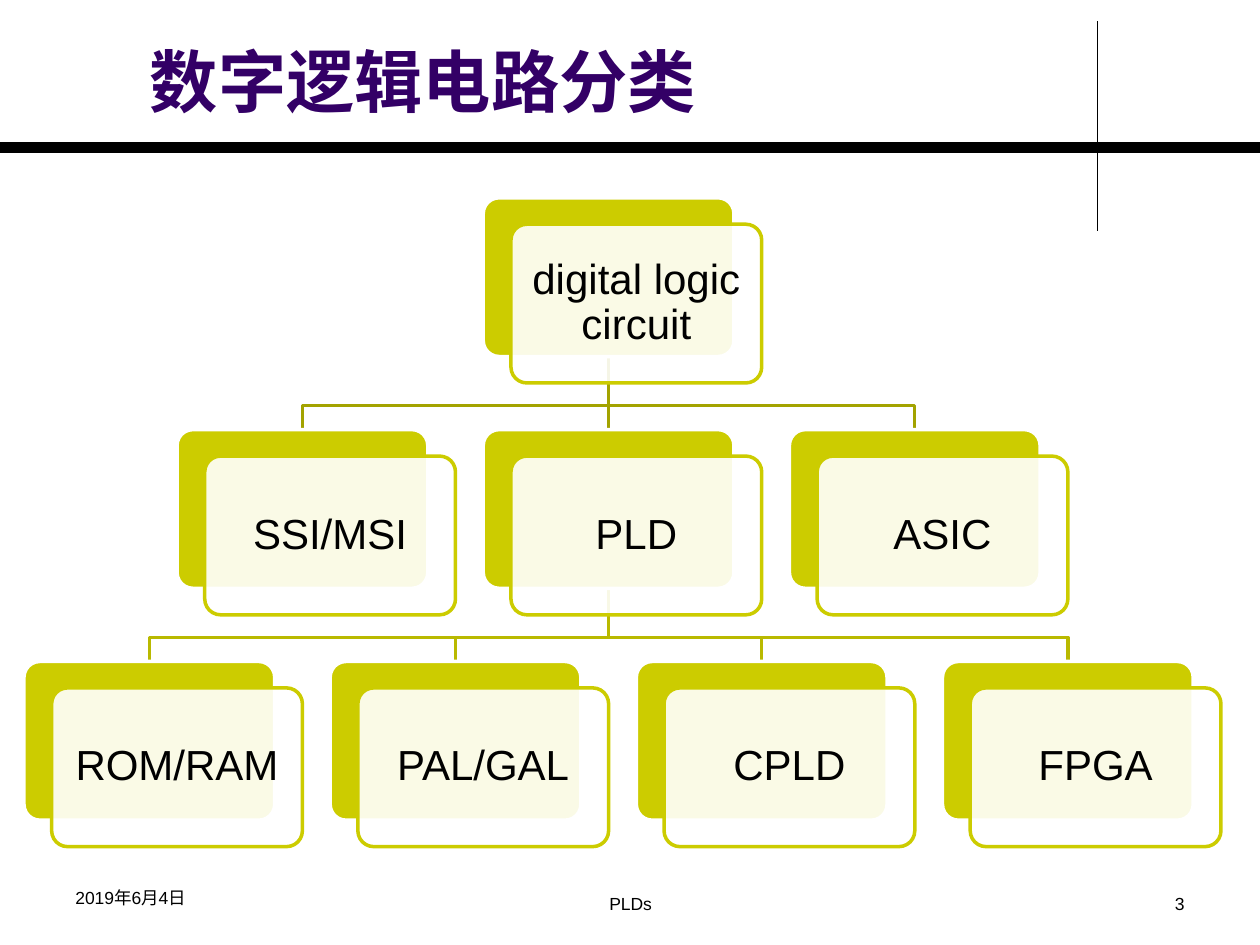
from lxml import etree
from pptx import Presentation
from pptx import util as u
from pptx.dml.color import RGBColor
from pptx.enum import shapes, text
from pptx.oxml.ns import qn

TITLE = "数字逻辑电路分类"
ROWS = [
    ["digital logic circuit"],
    ["SSI/MSI", "PLD", "ASIC"],
    ["ROM/RAM", "PAL/GAL", "CPLD", "FPGA"],
]
LEFT, MID, RIGHT = text.PP_ALIGN.LEFT, text.PP_ALIGN.CENTER, text.PP_ALIGN.RIGHT
FOOT = [  # words, box, alignment
    ("2019年6月4日", (0.5, 6.99, 2.33, 0.34), LEFT),
    ("PLDs", (3.42, 7.04, 3.17, 0.29), MID),
    ("3", (7.17, 7.04, 2.33, 0.29), RIGHT),
]
RULES = [  # start, end, weight
    ((8.71, 0.17), (8.71, 1.83), 0.75),
    ((0, 1.17), (10, 1.17), 6),
]
THEME = {
    "font": "Arial", "title": "330066", "ink": "000000", "paper": "FFFFFF",
    "card": "CCCC00", "links": ["A3A300", "B9B900"],
    "head": 39, "body": 24, "foot": 10, "line": 2,
}
AXIS, TOP = 4.83, 1.57          # centre of every row, top of the first
STEP, DROP = 2.43, 1.84         # pitch of columns and rows
WIDE, HIGH = 1.99, 1.26
SHIFT = (0.22, 0.21)            # front card against back card
BEND = 0.39                     # from a parent's foot to the crossbar


def rgb(name):
    return RGBColor.from_string(name)


def box(*sizes):
    return [u.Inches(n) for n in sizes]


def write(frame, words, size, color, align, bold=False):
    frame.text = words
    frame.word_wrap = True
    para = frame.paragraphs[0]
    para.alignment = align
    font = para.runs[0].font
    font.name, font.size, font.bold = THEME["font"], u.Pt(size), bold
    font.color.rgb = rgb(color)
    return para


def stroke(shape, color, weight):
    shape.line.color.rgb = rgb(color)
    shape.line.width = u.Pt(weight)


def rule(slide, start, end, color, weight):
    line = slide.shapes.add_connector(
        shapes.MSO_CONNECTOR.STRAIGHT, *box(*start, *end))
    stroke(line, color, weight)
    etree.SubElement(line._element.spPr, qn("a:effectLst"))


def link(slide, row, x):
    """Join the parent on the axis to the child centred at x."""
    foot = TOP + row * DROP + HIGH
    end, bar = TOP + (row + 1) * DROP, foot + BEND
    color = THEME["links"][row]
    if abs(x - AXIS) < 0.01:
        rule(slide, (AXIS, foot), (x, end), color, THEME["line"])
        return
    pen = slide.shapes.build_freeform(*box(AXIS, foot))
    pen.add_line_segments(
        [box(AXIS, bar), box(x, bar), box(x, end)], close=False)
    elbow = pen.convert_to_shape()
    elbow.fill.background()
    elbow.shadow.inherit = False
    stroke(elbow, color, THEME["line"])


def plate(slide, x, y, fill, edge):
    card = slide.shapes.add_shape(
        shapes.MSO_SHAPE.ROUNDED_RECTANGLE, *box(x, y, WIDE, HIGH))
    card.adjustments[0] = 0.1
    card.shadow.inherit = False
    card.fill.solid()
    card.fill.fore_color.rgb = rgb(fill)
    stroke(card, edge, THEME["line"])
    return card


def node(slide, words, x, y):
    """Draw a solid card with a sheer, labelled card over it."""
    left = x - WIDE / 2
    plate(slide, left, y, THEME["card"], THEME["paper"])
    front = plate(slide, left + SHIFT[0], y + SHIFT[1],
                  THEME["paper"], THEME["card"])
    tint = front._element.spPr.find(qn("a:solidFill"))[0]
    etree.SubElement(tint, qn("a:alpha"), val="90000")
    frame = front.text_frame
    para = write(frame, words, THEME["body"], THEME["ink"], MID)
    para.line_spacing = 0.9
    frame.vertical_anchor = text.MSO_ANCHOR.MIDDLE
    frame.margin_left = frame.margin_right = u.Inches(0.1)
    frame.margin_top = frame.margin_bottom = u.Inches(0.1)


def main():
    deck = Presentation()
    deck.slide_width, deck.slide_height = box(10, 7.5)
    slide = deck.slides.add_slide(deck.slide_layouts[5])
    for start, end, weight in RULES:
        rule(slide, start, end, THEME["ink"], weight)

    title = slide.shapes.title
    title.left, title.top, title.width, title.height = box(1.09, 0.2, 7.55, 0.81)
    write(title.text_frame, TITLE, THEME["head"], THEME["title"], LEFT, True)
    title.text_frame.vertical_anchor = text.MSO_ANCHOR.BOTTOM

    spots = [(row, AXIS + (col - (len(names) - 1) / 2) * STEP, name)
             for row, names in enumerate(ROWS)
             for col, name in enumerate(names)]
    for row, x, name in spots:
        if row:
            link(slide, row - 1, x)
    for row, x, name in spots:
        node(slide, name, x, TOP + row * DROP)

    for words, place, align in FOOT:
        note = slide.shapes.add_textbox(*box(*place))
        write(note.text_frame, words, THEME["foot"], THEME["ink"], align)
    deck.save("out.pptx")


if __name__ == "__main__":
    main()
